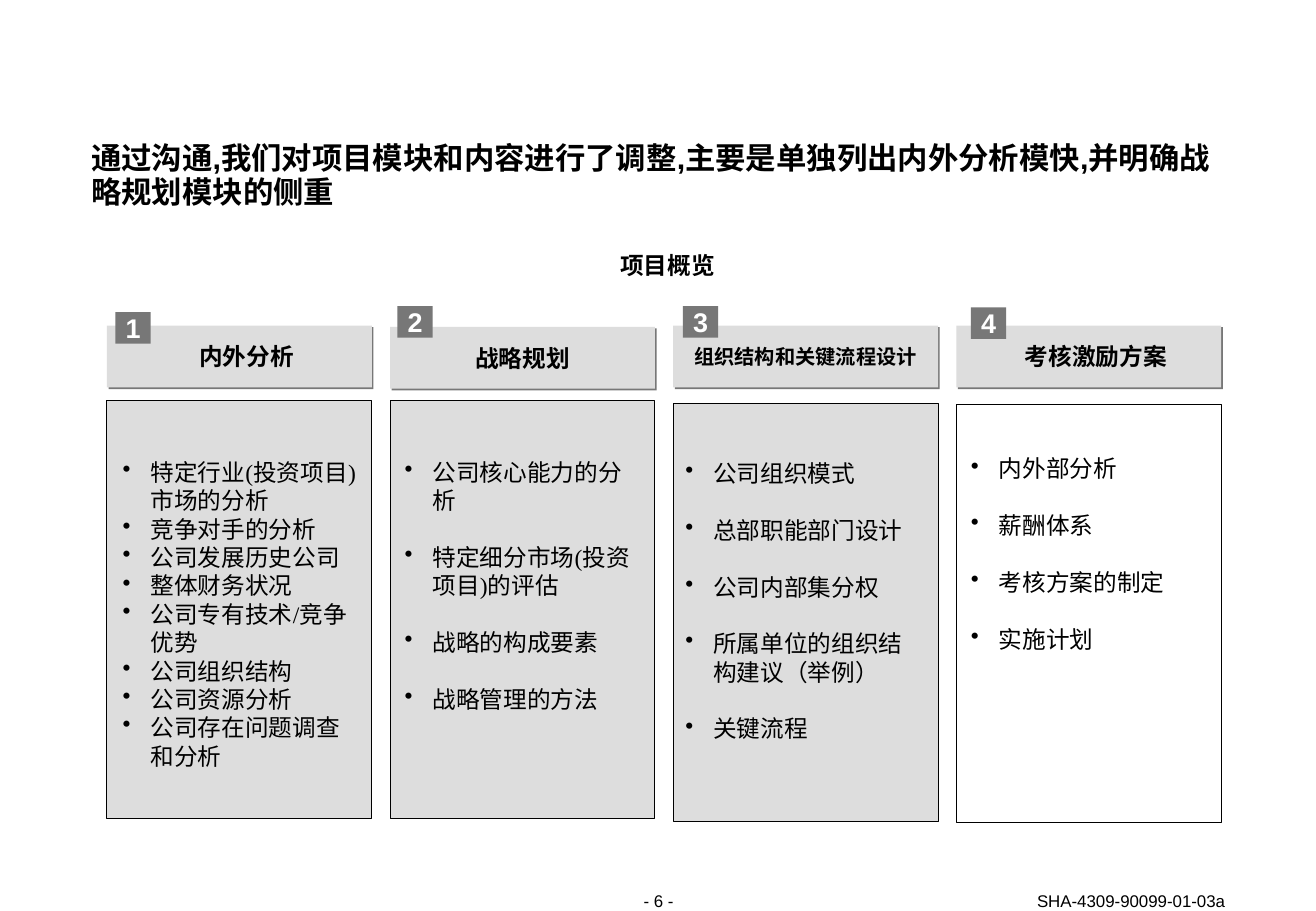
from dataclasses import dataclass

from lxml import etree
from pptx import Presentation
from pptx.dml.color import RGBColor
from pptx.enum.shapes import MSO_SHAPE
from pptx.enum.text import MSO_ANCHOR, MSO_AUTO_SIZE, PP_ALIGN
from pptx.oxml.ns import qn
from pptx.util import Inches, Pt

RECTANGLE = MSO_SHAPE.RECTANGLE
TOP, MIDDLE, BOTTOM = MSO_ANCHOR.TOP, MSO_ANCHOR.MIDDLE, MSO_ANCHOR.BOTTOM
LEFT, CENTER, RIGHT, JUSTIFY = PP_ALIGN.LEFT, PP_ALIGN.CENTER, PP_ALIGN.RIGHT, PP_ALIGN.JUSTIFY
NO_AUTOFIT = MSO_AUTO_SIZE.NONE

BLACK, WHITE, LIGHT_GRAY, DARK_GRAY = "000000", "FFFFFF", "DDDDDD", "777777"
COLUMN_LEFT, COLUMN_PITCH, COLUMN_WIDTH = 0.88, 2.33, 2.18
HEADER_HEIGHT, PANEL_HEIGHT = 0.51, 3.44
BADGE_WIDTH, BADGE_HEIGHT = 0.29, 0.26
BULLET_INDENT = 0.23


@dataclass
class Column:
    """One project module; offsets are measured from the left of its column."""
    heading: str
    items: list
    badge_offset: float
    badge_top: float
    header_top: float
    panel_top: float
    list_offset: float
    list_top: float
    list_width: float = 1.94
    heading_size: float = 14
    heading_inset: float = 0
    item_gap: float = 16.8
    item_align: PP_ALIGN = LEFT
    panel_fill: str = LIGHT_GRAY


COLUMNS = [
    Column("内外分析",
           ["特定行业(投资项目)市场的分析", "竞争对手的分析", "公司发展历史公司", "整体财务状况",
            "公司专有技术/竞争优势", "公司组织结构", "公司资源分析", "公司存在问题调查和分析"],
           0.07, 2.57, 2.68, 3.3, 0.13, 3.77, list_width=1.92, heading_inset=0.12, item_gap=0),
    Column("战略规划",
           ["公司核心能力的分析", "特定细分市场(投资项目)的评估", "战略的构成要素", "战略管理的方法"],
           0.06, 2.52, 2.69, 3.3, 0.12, 3.77),
    Column("组织结构和关键流程设计",
           ["公司组织模式", "总部职能部门设计", "公司内部集分权", "所属单位的组织结构建议（举例）", "关键流程"],
           0.08, 2.52, 2.68, 3.32, 0.1, 3.78, heading_size=12),
    Column("考核激励方案",
           ["内外部分析", "薪酬体系", "考核方案的制定", "实施计划"],
           0.12, 2.53, 2.68, 3.33, 0.12, 3.74, heading_inset=0.12, item_align=JUSTIFY,
           panel_fill=None),
]


def color(value):
    """Return the RGB colour for a hex string."""
    return RGBColor.from_string(value)


def add_bullet(paragraph):
    """Give a paragraph a hanging round bullet."""
    properties = paragraph._p.get_or_add_pPr()
    properties.set("marL", str(Inches(BULLET_INDENT)))
    properties.set("indent", str(-Inches(BULLET_INDENT)))
    etree.SubElement(properties, qn("a:buChar")).set("char", "•")


def write_text(shape, lines, size=14, font="Arial", text_color=BLACK, bold=False, align=LEFT,
               anchor=TOP, inset=0, wrap=True, line_spacing=None, gap=0, bullets=False):
    """Fill a shape with formatted paragraphs."""
    frame = shape.text_frame
    frame.auto_size = NO_AUTOFIT
    frame.word_wrap = wrap
    frame.vertical_anchor = anchor
    frame.margin_left = Inches(inset)
    frame.margin_top = frame.margin_right = frame.margin_bottom = 0
    for index, line in enumerate(lines):
        paragraph = frame.add_paragraph() if index else frame.paragraphs[0]
        paragraph.text = line
        if bullets:
            add_bullet(paragraph)
        paragraph.alignment = align
        paragraph.space_before = Pt(gap if index else 0)
        if line_spacing:
            paragraph.line_spacing = Pt(line_spacing)
        for run in paragraph.runs:
            run.font.size = Pt(size)
            run.font.name = font
            run.font.bold = bold
            run.font.color.rgb = color(text_color)


def add_text(slide, box, lines, **text_format):
    """Add a text box at (left, top, width, height)."""
    shape = slide.shapes.add_textbox(*map(Inches, box))
    write_text(shape, lines, **text_format)


def add_rectangle(slide, box, fill=None, line=None):
    """Add a flat rectangle with an optional fill and outline."""
    shape = slide.shapes.add_shape(RECTANGLE, *map(Inches, box))
    shape.shadow.inherit = False
    if fill:
        shape.fill.solid()
        shape.fill.fore_color.rgb = color(fill)
    else:
        shape.fill.background()
    if line:
        shape.line.color.rgb = color(line)
        shape.line.width = Pt(0.5)
    else:
        shape.line.fill.background()
    return shape


def add_hard_shadow(shape):
    """Give a shape a sharp gray shadow to its lower right."""
    effects = shape._element.spPr.find(qn("a:effectLst"))
    shadow = etree.SubElement(effects, qn("a:outerShdw"), blurRad="0", dist=str(Pt(1.4)),
                              dir="2700000", algn="ctr", rotWithShape="0")
    etree.SubElement(shadow, qn("a:srgbClr"), val=DARK_GRAY)


def add_title(slide, box, text):
    """Place and format the title placeholder."""
    title = slide.shapes.title
    title.left, title.top, title.width, title.height = map(Inches, box)
    write_text(title, [text], size=18, bold=True, line_spacing=20)


def add_column(slide, left, number, column):
    """Draw one module: header, numbered badge, panel and bullet list."""
    header = add_rectangle(slide, (left, column.header_top, COLUMN_WIDTH, HEADER_HEIGHT), LIGHT_GRAY)
    add_hard_shadow(header)
    write_text(header, [column.heading], size=column.heading_size, bold=True, align=CENTER,
               anchor=MIDDLE, inset=column.heading_inset)
    badge = add_rectangle(slide, (left + column.badge_offset, column.badge_top,
                                  BADGE_WIDTH, BADGE_HEIGHT), DARK_GRAY)
    write_text(badge, [str(number)], size=16, text_color=WHITE, bold=True, align=CENTER,
               anchor=MIDDLE, wrap=False)
    add_rectangle(slide, (left, column.panel_top, COLUMN_WIDTH, PANEL_HEIGHT),
                  column.panel_fill, BLACK)
    add_text(slide, (left + column.list_offset, column.list_top, column.list_width, 2.57),
             column.items, font="Times New Roman", align=column.item_align,
             gap=column.item_gap, bullets=True)


def add_footer(slide, top, height):
    """Add the page number and the document code."""
    add_text(slide, (4.85, top, 1.14, height), ["- 6 -"], size=10, align=CENTER)
    add_text(slide, (7.64, top, 2.44, height), ["SHA-4309-90099-01-03a"], size=10, align=RIGHT,
             anchor=BOTTOM)


def main():
    """Build and save the project overview slide."""
    presentation = Presentation()
    presentation.slide_width = Inches(10.83)
    presentation.slide_height = Inches(7.5)
    slide = presentation.slides.add_slide(presentation.slide_layouts[5])
    add_title(slide, (0.75, 1.17, 9.33, 0.67),
              "通过沟通,我们对项目模块和内容进行了调整,主要是单独列出内外分析模快,并明确战略规划模块的侧重")
    add_text(slide, (0.83, 2.08, 9.33, 0.22), ["项目概览"], bold=True, align=CENTER, line_spacing=16)
    for index, column in enumerate(COLUMNS):
        add_column(slide, COLUMN_LEFT + index * COLUMN_PITCH, index + 1, column)
    add_footer(slide, 7.33, 0.17)
    presentation.save("out.pptx")


if __name__ == "__main__":
    main()
